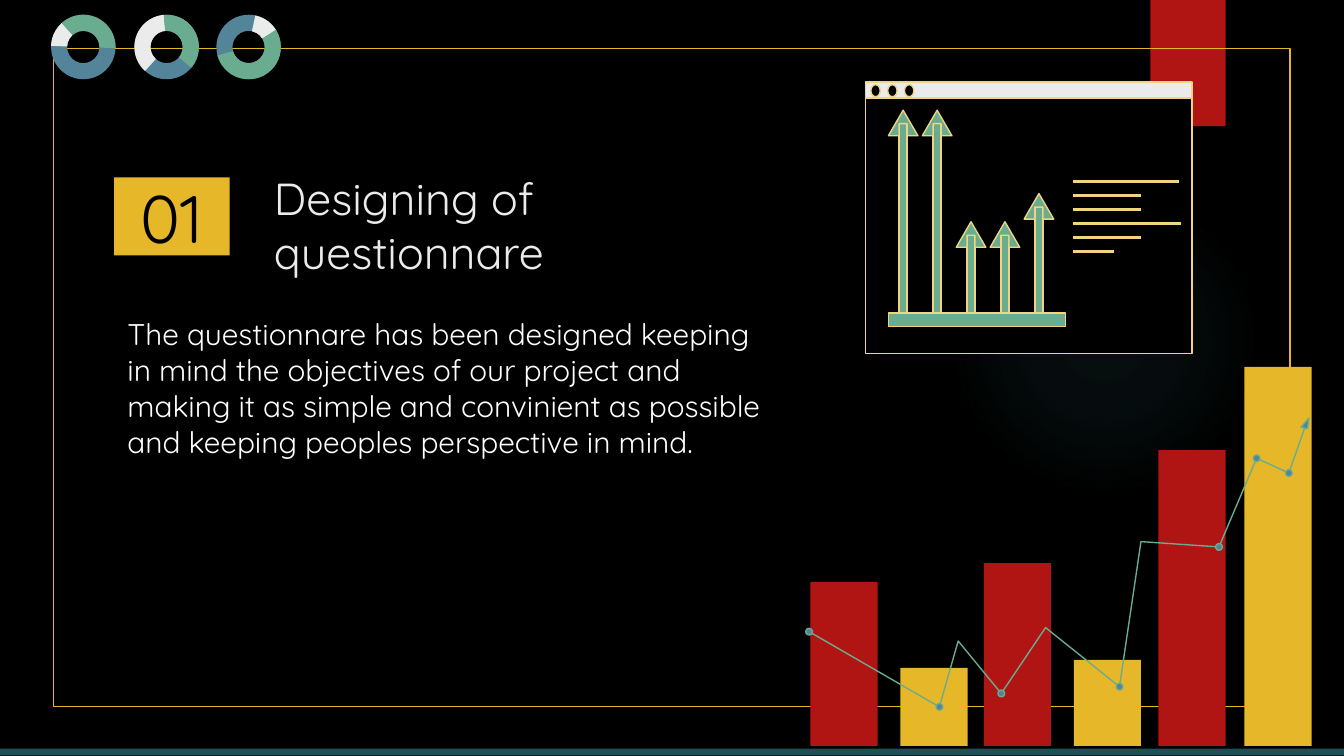
"""Build the "Designing of questionnare" section slide with chart illustrations."""
from lxml import etree
from pptx import Presentation
from pptx.dml.color import RGBColor
from pptx.enum.shapes import MSO_CONNECTOR, MSO_SHAPE
from pptx.enum.text import MSO_ANCHOR, PP_ALIGN
from pptx.oxml import parse_xml
from pptx.oxml.ns import nsdecls, qn
from pptx.util import Inches, Pt

RECTANGLE, OVAL = MSO_SHAPE.RECTANGLE, MSO_SHAPE.OVAL
DONUT, BLOCK_ARC = MSO_SHAPE.DONUT, MSO_SHAPE.BLOCK_ARC
STRAIGHT = MSO_CONNECTOR.STRAIGHT
TOP, MIDDLE, BOTTOM = MSO_ANCHOR.TOP, MSO_ANCHOR.MIDDLE, MSO_ANCHOR.BOTTOM
LEFT, CENTER = PP_ALIGN.LEFT, PP_ALIGN.CENTER

THEME = {
    "black": "000000", "white": "FFFFFF", "pale": "EBEBEB", "red": "B01513",
    "gold": "E6B729", "cream": "F0D47F", "green": "6AAC90", "blue": "54849A",
    "teal": "1E5155", "glow": "50B9C1", "font": "Quicksand",
    "title": 24, "number": 36, "body": 16, "outline": 0.75, "text_line": 1.5,
}

presentation = Presentation()
presentation.slide_width = Inches(10)
presentation.slide_height = Inches(10 * 9 / 16)
slide = presentation.slides.add_slide(presentation.slide_layouts[6])
slide.background.fill.solid()
slide.background.fill.fore_color.rgb = RGBColor.from_string(THEME["black"])


def paint(shape, fill=None, line=None):
    shape.shadow.inherit = False
    if fill:
        shape.fill.solid()
        shape.fill.fore_color.rgb = RGBColor.from_string(THEME[fill])
    else:
        shape.fill.background()
    if line:
        shape.line.color.rgb = RGBColor.from_string(THEME[line])
        shape.line.width = Pt(THEME["outline"])
    else:
        shape.line.fill.background()
    return shape


def add_preset(preset, box, fill=None, line=None):
    return paint(slide.shapes.add_shape(preset, *map(Inches, box)), fill, line)


glow = add_preset(OVAL, (7.06, 1.38, 2.31, 2.31))
glow_stops = "".join(
    f'<a:gs pos="{position}000"><a:srgbClr val="{THEME["glow"]}">'
    f'<a:alpha val="{alpha}000"/></a:srgbClr></a:gs>'
    for position, alpha in ((0, 7), (36, 6), (69, 0), (100, 0))
)
glow_properties = glow._element.spPr
glow_properties.replace(glow_properties.find(qn("a:noFill")), parse_xml(
    f'<a:gradFill {nsdecls("a")}><a:gsLst>{glow_stops}</a:gsLst><a:path path="circle">'
    '<a:fillToRect l="50000" t="50000" r="50000" b="50000"/></a:path></a:gradFill>'
))

add_preset(RECTANGLE, (8.56, 0, 0.56, 0.94), "red")
add_preset(RECTANGLE, (0, 5.57, 10, 0.05), "teal")
add_preset(RECTANGLE, (0.4, 0.36, 9.2, 4.9), line="gold")

donuts = (
    (0.38, (("pale", 182, 228), ("green", 228, 2))),
    (1.0, (("pale", 132, 265), ("green", 265, 40))),
    (1.61, (("pale", 282, 328), ("green", 328, 165))),
)
for left, segments in donuts:
    box = (left, 0.11, 0.48, 0.48)
    add_preset(DONUT, box, "blue").adjustments[0] = 0.25
    for color, start, end in segments:
        arc = add_preset(BLOCK_ARC, box, color)
        for index, value in enumerate((start * 0.6, end * 0.6, 0.25)):
            arc.adjustments[index] = value

add_preset(RECTANGLE, (0.85, 1.32, 0.86, 0.58), "gold")
texts = (
    ("Designing of questionnare", (1.94, 1.19, 2.43, 0.98), "title", "pale", BOTTOM, LEFT),
    ("01", (0.85, 1.32, 0.86, 0.58), "number", "black", MIDDLE, CENTER),
    ("The questionnare has been designed keeping in mind the objectives of our project "
     "and making it as simple and convinient as possible and keeping peoples perspective "
     "in mind.", (0.85, 2.25, 4.99, 2.72), "body", "white", TOP, LEFT),
)
for text, box, size, color, anchor, alignment in texts:
    text_frame = slide.shapes.add_textbox(*map(Inches, box)).text_frame
    frame_format = {"word_wrap": True, "vertical_anchor": anchor}
    frame_format |= {f"margin_{side}": Inches(0.1) for side in ("left", "top", "right", "bottom")}
    for name, value in frame_format.items():
        setattr(text_frame, name, value)
    paragraph = text_frame.paragraphs[0]
    paragraph.alignment = alignment
    run = paragraph.add_run()
    run.text = text
    for name, value in {"name": THEME["font"], "size": Pt(THEME[size])}.items():
        setattr(run.font, name, value)
    run.font.color.rgb = RGBColor.from_string(THEME[color])

bars = (
    (6.03, 4.33, "red"), (6.7, 4.97, "gold"), (7.32, 4.19, "red"),
    (7.99, 4.91, "gold"), (8.62, 3.35, "red"), (9.26, 2.73, "gold"),
)
for left, top, color in bars:
    add_preset(RECTANGLE, (left, top, 0.5, 5.55 - top), color)

trend = (
    (6.02, 4.7), (6.99, 5.26), (7.13, 4.77), (7.45, 5.16), (7.78, 4.67), (8.33, 5.11),
    (8.49, 4.03), (9.07, 4.07), (9.35, 3.41), (9.59, 3.52), (9.72, 3.15),
)
trend_tip = ((9.74, 3.11), (9.68, 3.18), (9.73, 3.19))
outlines = [(trend, False, None, "green"), (trend_tip, True, "blue", "green")]

add_preset(RECTANGLE, (6.44, 0.7, 2.43, 1.93), "black", "cream")
add_preset(RECTANGLE, (6.44, 0.61, 2.43, 0.12), "pale", "cream")
for index in range(3):
    add_preset(OVAL, (6.48 + index / 8, 0.63, 0.07, 0.09), "black", "cream")

for index, top in enumerate((0.82, 0.82, 1.65, 1.65, 1.44)):
    center = 6.72 + index * 1.01 / 4
    head = [(center + x, top + y) for x, y in (
        (0, 0), (-0.11, 0.19), (-0.03, 0.19), (-0.03, 0.1),
        (0.03, 0.1), (0.03, 0.19), (0.11, 0.19),
    )]
    outlines.append((head, True, "green", "cream"))
    add_preset(RECTANGLE, (center - 0.03, top + 0.1, 0.06, 2.23 - top), "green", "cream")
add_preset(RECTANGLE, (6.61, 2.33, 1.32, 0.1), "green", "cream")

for points, closed, fill, line in outlines:
    corners = [(Inches(x), Inches(y)) for x, y in points]
    builder = slide.shapes.build_freeform(*corners[0])
    builder.add_line_segments(corners[1:], close=closed)
    paint(builder.convert_to_shape(), fill, line)

dot_size = 0.05
for index in (0, 1, 3, 5, 7, 8, 9):
    x, y = trend[index]
    add_preset(OVAL, (x - dot_size / 2, y - dot_size / 2, dot_size, dot_size), "blue", "green")

for index, width in enumerate((0.79, 0.51, 0.51, 0.81, 0.51, 0.31)):
    y = Inches(1.35 + index * 0.52 / 5)
    connector = slide.shapes.add_connector(STRAIGHT, Inches(7.98), y, Inches(7.98 + width), y)
    connector.line.color.rgb = RGBColor.from_string(THEME["cream"])
    connector.line.width = Pt(THEME["text_line"])
    etree.SubElement(connector._element.spPr, qn("a:effectLst"))

presentation.save("out.pptx")
